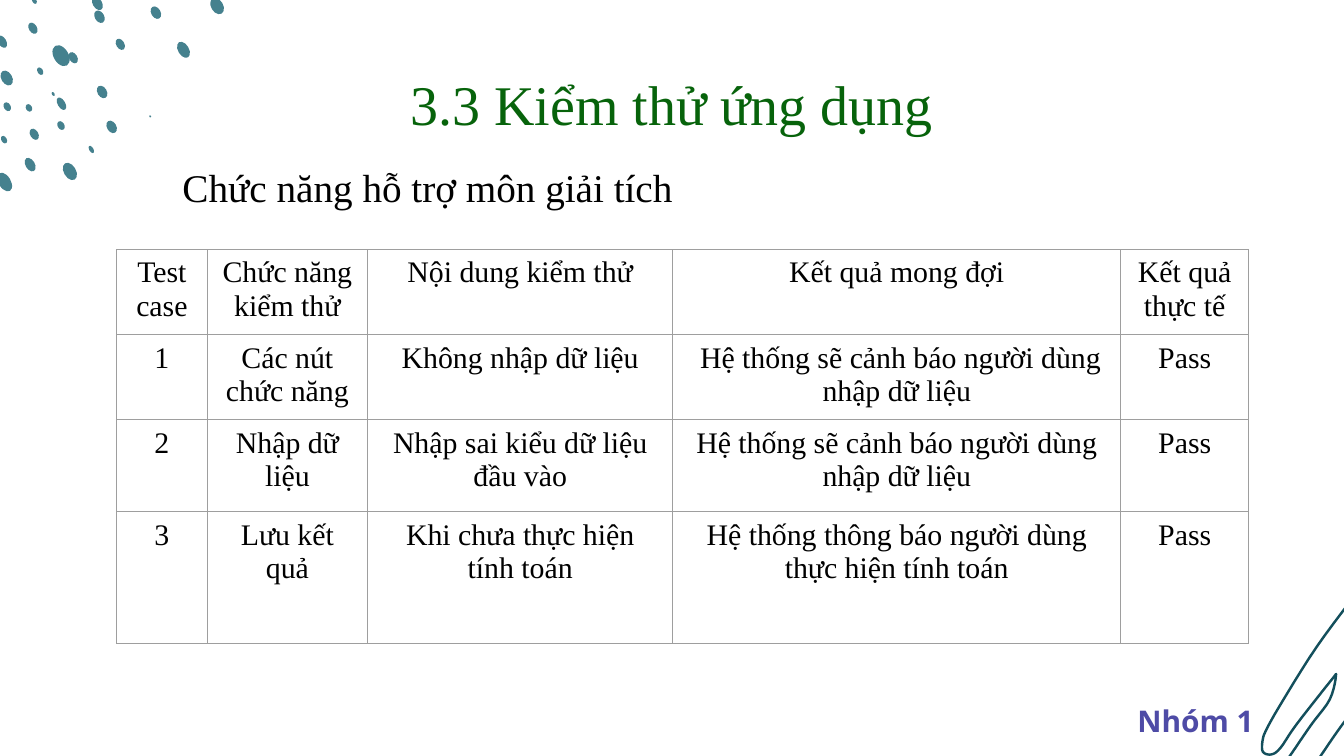
from dataclasses import dataclass

from lxml import etree
from pptx import Presentation
from pptx.dml.color import RGBColor
from pptx.enum import shapes, text
from pptx.oxml import ns
from pptx.util import Pt


@dataclass(frozen=True)
class Theme:
    serif: str = "Times New Roman"
    sans: str = "Open Sans"
    title: str = "07630B"
    body: str = "000000"
    footer: str = "4E4BA6"
    dot: str = "45818E"
    scribble: str = "134F5C"
    border: str = "9E9E9E"
    title_size: float = 30
    heading_size: float = 21
    cell_size: float = 16
    footer_size: float = 16


THEME = Theme()
DOT_ANGLE = 59.3

DOTS = [
    (-3, 94.3, 11, 6.5), (26.6, 25.9, 12.2, 7.9), (19.4, 36.7, 4.3, 2.9),
    (27.4, 49.7, 2.2, 1.4), (13.4, 56.2, 4.2, 3.2), (0, 73.4, 4.3, 2.9),
    (12.2, 85.7, 7.9, 5), (15.1, 69.8, 6.5, 4.3), (1.4, 55.4, 5, 3.6),
    (30.2, 65.5, 5, 3.6), (29.2, 53.6, 7.4, 4), (51.1, 46.8, 7.2, 5),
    (36, 28.8, 6.5, 4.3), (61.2, 21.6, 6.5, 4.3), (49.7, 6.5, 7.2, 5),
    (48.2, -0.7, 7.9, 5), (79.9, 4.3, 7.2, 5), (79.9, 61.9, 1.1, 0.9),
    (56.2, 65.5, 7.2, 5), (46.8, 79, 4.3, 2.2), (32.4, 88.6, 10.1, 6.5),
    (-0.7, 38.9, 8.6, 5.8), (-2.4, 20.2, 7.2, 4.3), (14.4, 13, 6.5, 4.3),
    (16.6, -0.7, 3.6, 2.2), (93.6, 23.8, 9.4, 5.8), (111.6, 0, 9.4, 6.5),
]

SCRIBBLE = [
    (725.8, 319), (705.3, 346.7), (687.2, 375.5), (678.6, 390.6),
    (676.4, 397), (676.6, 402.8), (681.1, 404.2), (686, 400.7),
    (694.4, 388.4), (713, 364.7), (715.7, 362.2), (712.4, 374.8),
    (702.4, 388.4), (692.3, 403.2), (687.2, 410.4), (683.6, 416.5),
    (683.6, 426.2), (689, 427.3), (695, 424.4), (699.5, 417.2),
    (713.9, 395.6), (724, 382), (734.4, 371.2), (738, 370.3),
    (729.7, 394.9), (720.4, 405.7), (699.5, 434.5), (697.9, 443),
    (702.4, 443.9), (708.8, 439.6), (714.6, 433.8), (724, 418.7),
    (744.5, 389.2), (753.5, 387), (754.2, 393.5), (749.9, 400.7),
    (730.4, 426.6), (714.6, 446), (712.4, 455), (720.7, 458),
    (732.6, 445), (759.6, 407),
]

COLUMNS = [48.5, 86, 163.5, 240, 68.5]
ROWS = [42.8, 42.8, 49.3, 70.7]
TESTS = [
    ("Test case", "Chức năng kiểm thử", "Nội dung kiểm thử",
     "Kết quả mong đợi", "Kết quả thực tế"),
    ("1", "Các nút chức năng", "Không nhập dữ liệu",
     " Hệ thống sẽ cảnh báo người dùng nhập dữ liệu", "Pass"),
    ("2", "Nhập dữ liệu", "Nhập sai kiểu dữ liệu đầu vào",
     "Hệ thống sẽ cảnh báo người dùng nhập dữ liệu", "Pass"),
    ("3", "Lưu kết quả", "Khi chưa thực hiện tính toán",
     "Hệ thống thông báo người dùng thực hiện tính toán", "Pass"),
]


def rgb(value):
    return RGBColor.from_string(value)


def add_span(para, words, font, size, color, bold=False):
    span = para.add_run()
    span.text = words
    span.font.name = font
    span.font.size = Pt(size)
    span.font.bold = bold
    span.font.color.rgb = rgb(color)


def add_label(page, frame, words, font, size, color, align, anchor, bold=False):
    box = page.shapes.add_textbox(*map(Pt, frame))
    box.text_frame.word_wrap = True
    box.text_frame.vertical_anchor = anchor
    para = box.text_frame.paragraphs[0]
    para.alignment = align
    add_span(para, words, font, size, color, bold)


def add_dot(page, left, top, width, height):
    dot = page.shapes.add_shape(
        shapes.MSO_SHAPE.OVAL, Pt(left), Pt(top), Pt(width), Pt(height))
    dot.rotation = DOT_ANGLE
    dot.shadow.inherit = False
    dot.fill.solid()
    dot.fill.fore_color.rgb = rgb(THEME.dot)
    dot.line.fill.background()


def smooth(points, steps=5):
    padded = [points[0], *points, points[-1]]
    curve = []
    for before, start, end, after in zip(padded, padded[1:], padded[2:], padded[3:]):
        for step in range(steps):
            t = step / steps
            curve.append(tuple(
                b + t * (c - a) / 2
                + t ** 2 * (2 * a - 5 * b + 4 * c - d) / 2
                + t ** 3 * (3 * b - a - 3 * c + d) / 2
                for a, b, c, d in zip(before, start, end, after)))
    return curve + [points[-1]]


def add_scribble(page, points):
    first, *rest = [(Pt(x), Pt(y)) for x, y in smooth(points)]
    builder = page.shapes.build_freeform(*first)
    builder.add_line_segments(rest, close=False)
    stroke = builder.convert_to_shape()
    stroke.shadow.inherit = False
    stroke.fill.background()
    stroke.line.color.rgb = rgb(THEME.scribble)
    stroke.line.width = Pt(1.3)


def add_borders(cell):
    properties = cell._tc.get_or_add_tcPr()
    for index, side in enumerate(("a:lnL", "a:lnR", "a:lnT", "a:lnB")):
        line = etree.Element(ns.qn(side), w=str(int(Pt(0.75))))
        fill = etree.SubElement(line, ns.qn("a:solidFill"))
        etree.SubElement(fill, ns.qn("a:srgbClr"), val=THEME.border)
        properties.insert(index, line)


def add_tests(page, left, top):
    table = page.shapes.add_table(
        len(ROWS), len(COLUMNS), Pt(left), Pt(top),
        Pt(sum(COLUMNS)), Pt(sum(ROWS))).table
    table.first_row = table.horz_banding = False
    for column, width in zip(table.columns, COLUMNS):
        column.width = Pt(width)
    for row, height, entries in zip(table.rows, ROWS, TESTS):
        row.height = Pt(height)
        for cell, words in zip(row.cells, entries):
            cell.fill.background()
            add_borders(cell)
            para = cell.text_frame.paragraphs[0]
            para.alignment = text.PP_ALIGN.CENTER
            add_span(para, words, THEME.serif, THEME.cell_size, THEME.body)


def main():
    deck = Presentation()
    deck.slide_width, deck.slide_height = Pt(720), Pt(405)
    page = deck.slides.add_slide(deck.slide_layouts[6])
    center, left = text.PP_ALIGN.CENTER, text.PP_ALIGN.LEFT
    top, middle = text.MSO_ANCHOR.TOP, text.MSO_ANCHOR.MIDDLE

    add_scribble(page, SCRIBBLE)
    for dot in DOTS:
        add_dot(page, *dot)
    add_label(page, (56.5, 33.5, 607, 45), "3.3 Kiểm thử ứng dụng",
              THEME.serif, THEME.title_size, THEME.title, center, top)
    add_label(page, (489, 352, 303, 68), "Nhóm 1",
              THEME.sans, THEME.footer_size, THEME.footer, center, middle, True)
    add_tests(page, 62.5, 133.7)
    add_label(page, (90.7, 84.2, 285, 32.5), "Chức năng hỗ trợ môn giải tích",
              THEME.serif, THEME.heading_size, THEME.body, left, top)
    deck.save("out.pptx")


if __name__ == "__main__":
    main()
